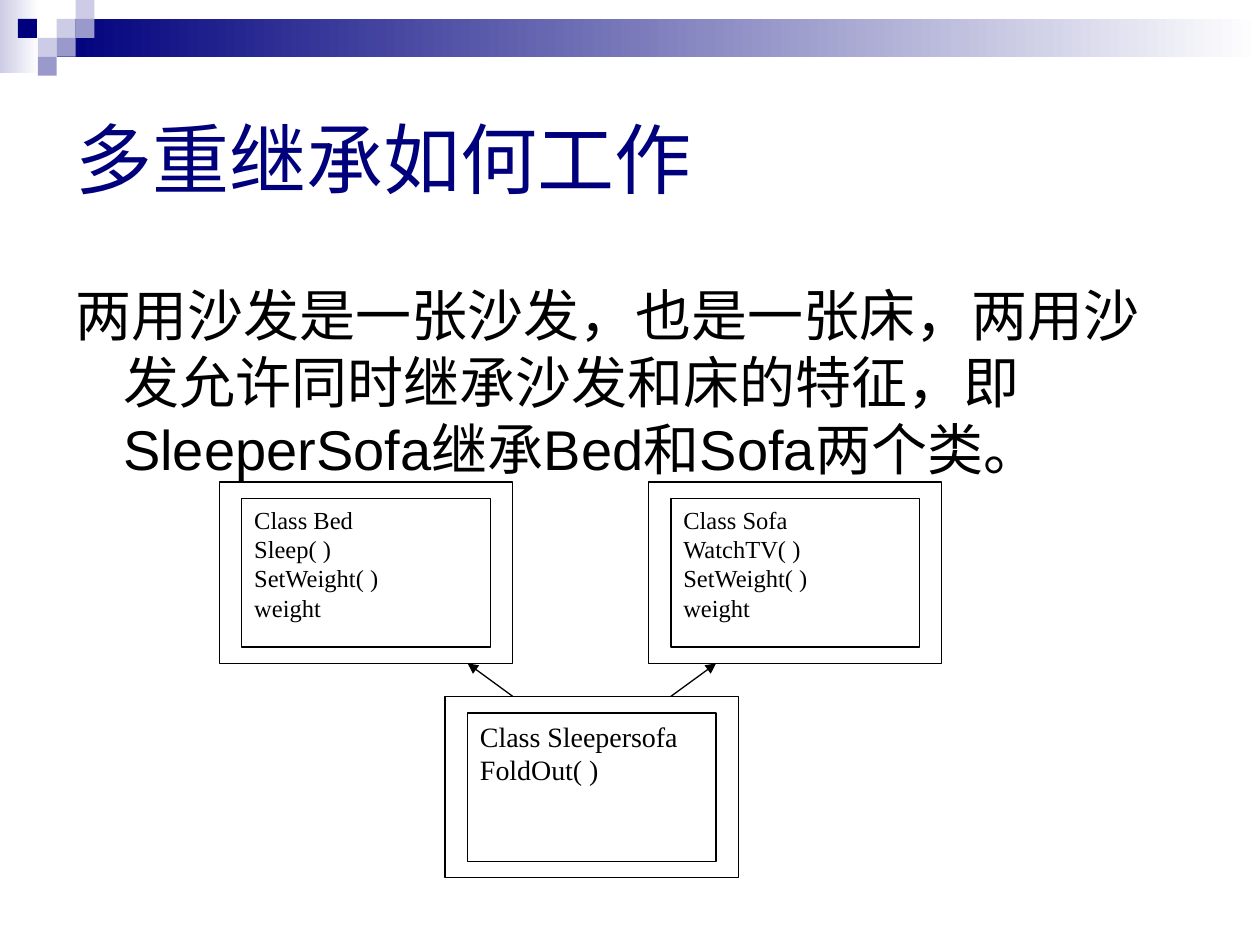
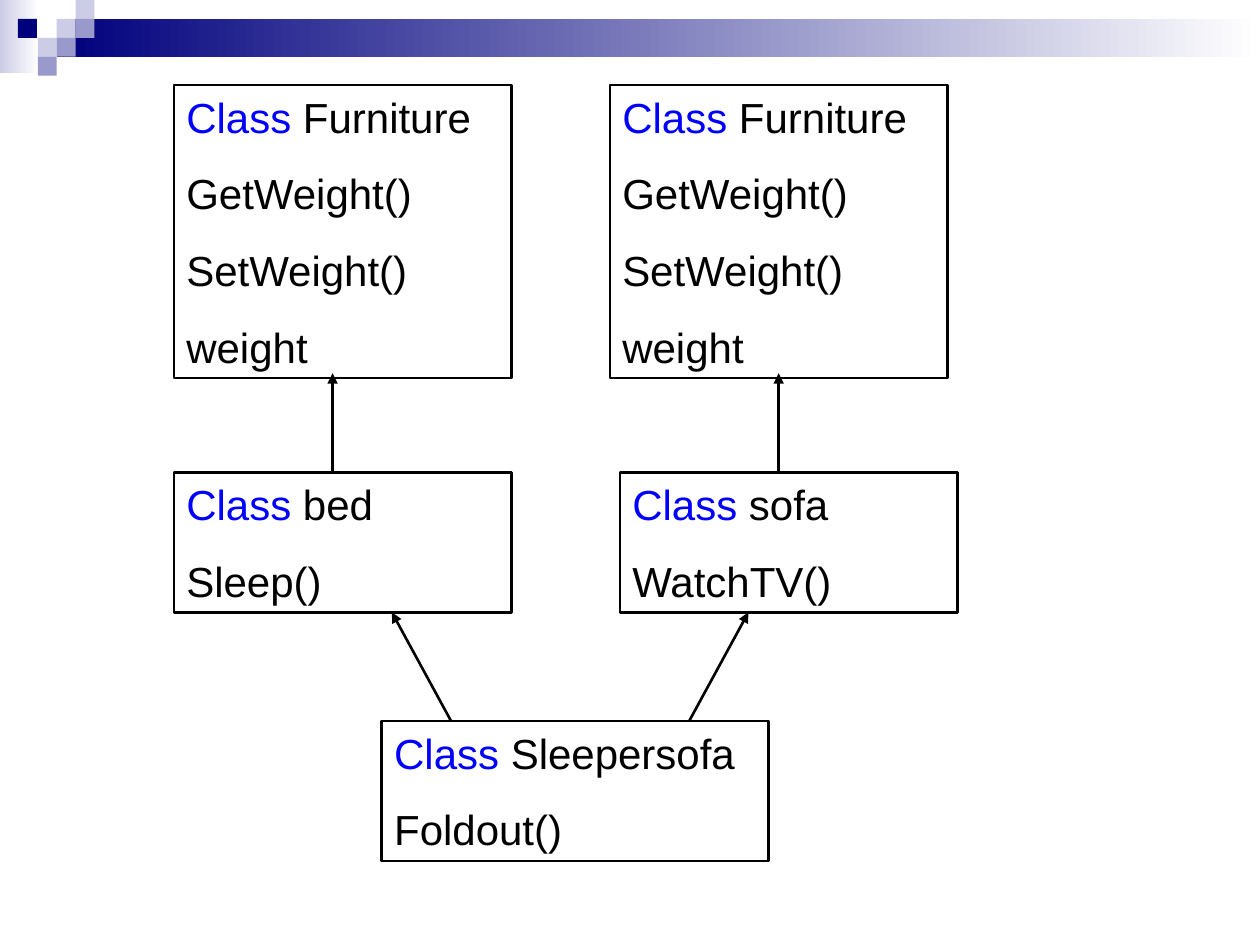
from pptx import Presentation
from pptx import util as u
from pptx.dml.color import RGBColor
from pptx.enum import shapes, text
from pptx.oxml.ns import qn
from lxml import etree

NAVY = RGBColor(0x00, 0x00, 0x7D)
LILAC = RGBColor(0xCC, 0xCC, 0xE6)
VIOLET = RGBColor(0x99, 0x99, 0xCC)
BLUE = RGBColor(0x00, 0x00, 0xFF)
BLACK = RGBColor(0x00, 0x00, 0x00)
WHITE = RGBColor(0xFF, 0xFF, 0xFF)
W, H = 10, 7.5
TILE = 0.15  # header squares


def box(s, x, y, w, h, fill=None, line=0, lines=(), size=14, font="Arial",
        color=BLACK, before=0, align=text.PP_ALIGN.LEFT, keyword=None):
    """Rectangle in inches; a two-colour fill is a gradient, keyword is a blue first word."""
    sp = s.shapes.add_shape(shapes.MSO_SHAPE.RECTANGLE, *map(u.Inches, (x, y, w, h)))
    sp.shadow.inherit = False
    if fill is None:
        sp.fill.background()
    elif isinstance(fill, list):
        sp.fill.gradient()
        sp.fill.gradient_angle = 0
        for stop, rgb in zip(sp.fill.gradient_stops, fill):
            stop.color.rgb = rgb
    else:
        sp.fill.solid()
        sp.fill.fore_color.rgb = fill
    if line:
        sp.line.color.rgb = BLACK
        sp.line.width = u.Pt(line)
    else:
        sp.line.fill.background()
    tf = sp.text_frame
    tf.word_wrap = True
    tf.vertical_anchor = text.MSO_ANCHOR.TOP
    for i, words in enumerate(lines):
        p = tf.paragraphs[0] if i == 0 else tf.add_paragraph()
        p.alignment = align
        p.space_before = u.Pt(before)
        p.font.size, p.font.name = u.Pt(size), font
        p.font.color.rgb = color
        if keyword and words.startswith(keyword):
            r = p.add_run()
            r.text = keyword
            r.font.color.rgb = BLUE
            words = words[len(keyword):]
        r = p.add_run()
        r.text = words
        r.font.color.rgb = color
    return sp


def arrow(s, x1, y1, x2, y2, width):
    c = s.shapes.add_connector(shapes.MSO_CONNECTOR.STRAIGHT, *map(u.Inches, (x1, y1, x2, y2)))
    c.line.color.rgb = BLACK
    c.line.width = u.Pt(width)
    etree.SubElement(c.line._get_or_add_ln(), qn("a:tailEnd"), type="triangle")
    etree.SubElement(c._element.spPr, qn("a:effectLst"))


prs = Presentation()
prs.slide_width, prs.slide_height = u.Inches(W), u.Inches(H)

# Header band shared by both slides; squares are (column, row, colour)
TILES = [(3, 1, LILAC), (4, 0, LILAC), (4, 1, VIOLET), (2, 2, LILAC),
         (0.95, 1, NAVY), (3, 2, VIOLET), (2, 3, VIOLET)]
for _ in range(2):
    s = prs.slides.add_slide(prs.slide_layouts[6])
    box(s, 0, 0, 0.31, 0.58, [LILAC, WHITE])
    box(s, 3 * TILE, TILE, W - 3 * TILE, 2 * TILE, [NAVY, WHITE])
    for col, row, rgb in TILES:
        box(s, col * TILE, row * TILE, TILE, TILE, rgb)
overview, hierarchy = prs.slides

# Slide 1: title, explanation and class diagram
title = box(overview, W * 0.05, H / 15, W * 0.9, H * 0.2,
            lines=["多重继承如何工作"], size=44, color=NAVY)
title.text_frame.vertical_anchor = text.MSO_ANCHOR.MIDDLE
body = box(overview, W * 0.05, H * 0.29, W * 0.9, H * 0.57, size=32, before=8,
           lines=["两用沙发是一张沙发，也是一张床，两用沙发允许同时继承沙发和床的特征，"
                  "即SleeperSofa继承Bed和Sofa两个类。"])
pPr = body.text_frame.paragraphs[0]._p.get_or_add_pPr()
pPr.set("marL", str(u.Inches(0.38)))
pPr.set("indent", str(-u.Inches(0.38)))

LEFT, TOP = W * 0.174, H * 0.51
COL, ROW = 2.33 / 13, 1.44 / 11  # a class frame spans 13 columns and 11 rows
CLASSES = [
    (0, 0, 14, ["Class Bed", "Sleep( )", "SetWeight( )", "weight"]),
    (19, 0, 14, ["Class Sofa", "WatchTV( )", "SetWeight( )", "weight"]),
    (10, 13, 16, ["Class Sleepersofa", "FoldOut( )"]),
]
for col, row, size, members in CLASSES:
    x, y = LEFT + col * COL, TOP + row * ROW
    box(overview, x, y, 13 * COL, 11 * ROW, WHITE, 0.75)
    box(overview, x + COL, y + ROW, 11 * COL, 9 * ROW, WHITE, 0.75, members, size,
        "Times New Roman", align=text.PP_ALIGN.JUSTIFY)
for start, end in [(13, 11), (20, 22)]:
    arrow(overview, LEFT + start * COL, TOP + 13 * ROW, LEFT + end * COL, TOP + 11 * ROW, 0.75)

# Slide 2: three levels of classes
BASE, MIDDLE, DERIVED = H * 0.09, H * 0.5, H * 0.763
TALL, SHORT = H * 0.31, H * 0.148
WIDTH = W * 0.268
FURNITURE = ["Class Furniture", "GetWeight()", "SetWeight()", "weight"]
for x, y, w, h, members in [
    (W * 0.138, BASE, WIDTH, TALL, FURNITURE),
    (W * 0.138, MIDDLE, WIDTH, SHORT, ["Class bed", "Sleep()"]),
    (W * 0.484, BASE, WIDTH, TALL, FURNITURE),
    (W * 0.492, MIDDLE, WIDTH, SHORT, ["Class sofa", "WatchTV()"]),
    (W * 0.303, DERIVED, W * 0.307, SHORT, ["Class Sleepersofa", "Foldout()"]),
]:
    sp = box(hierarchy, x, y, w, h, None, 1.5, members, 24, before=15, keyword="Class")
    sp.text_frame.auto_size = text.MSO_AUTO_SIZE.SHAPE_TO_FIT_TEXT
for x in (W * 0.264, W * 0.618):
    arrow(hierarchy, x, MIDDLE, x, H * 0.395, 1.5)
for start, end in [(0.358, 0.311), (0.547, 0.594)]:
    arrow(hierarchy, W * start, DERIVED, W * end, MIDDLE + SHORT, 1.5)

prs.save("out.pptx")
